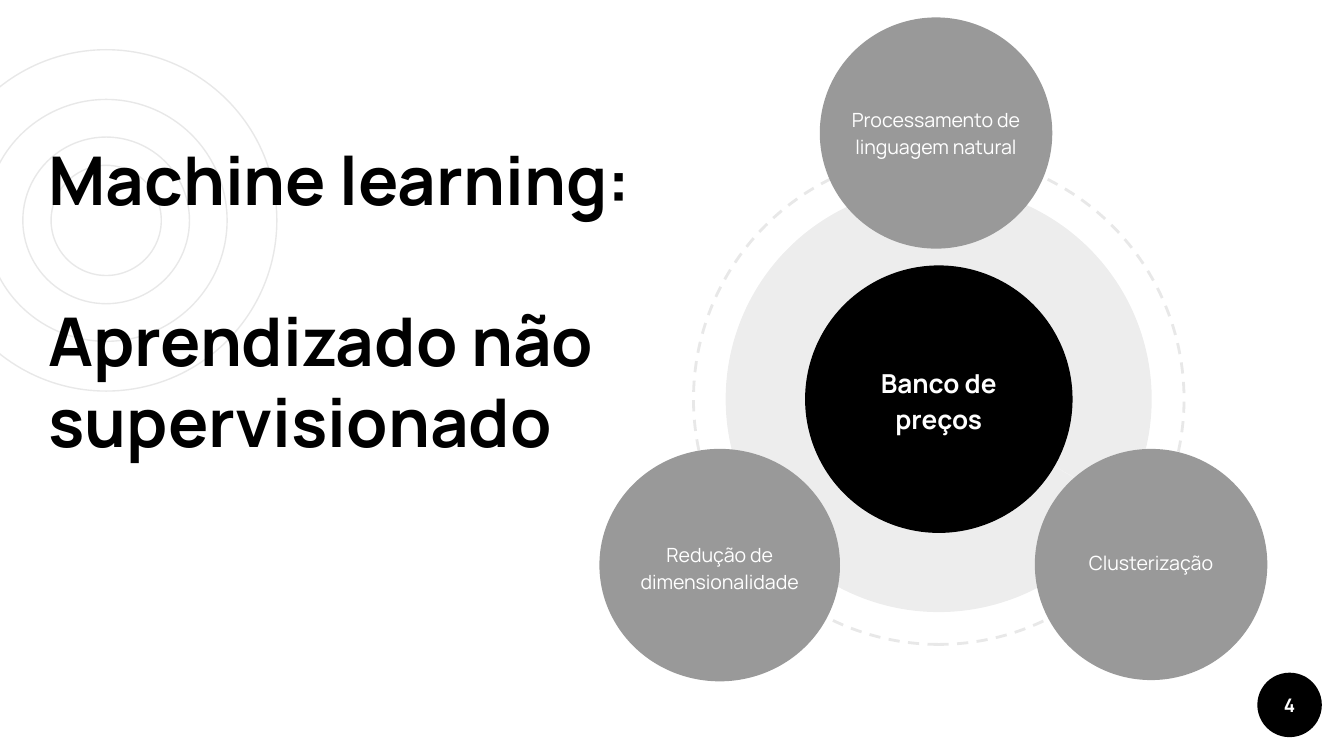
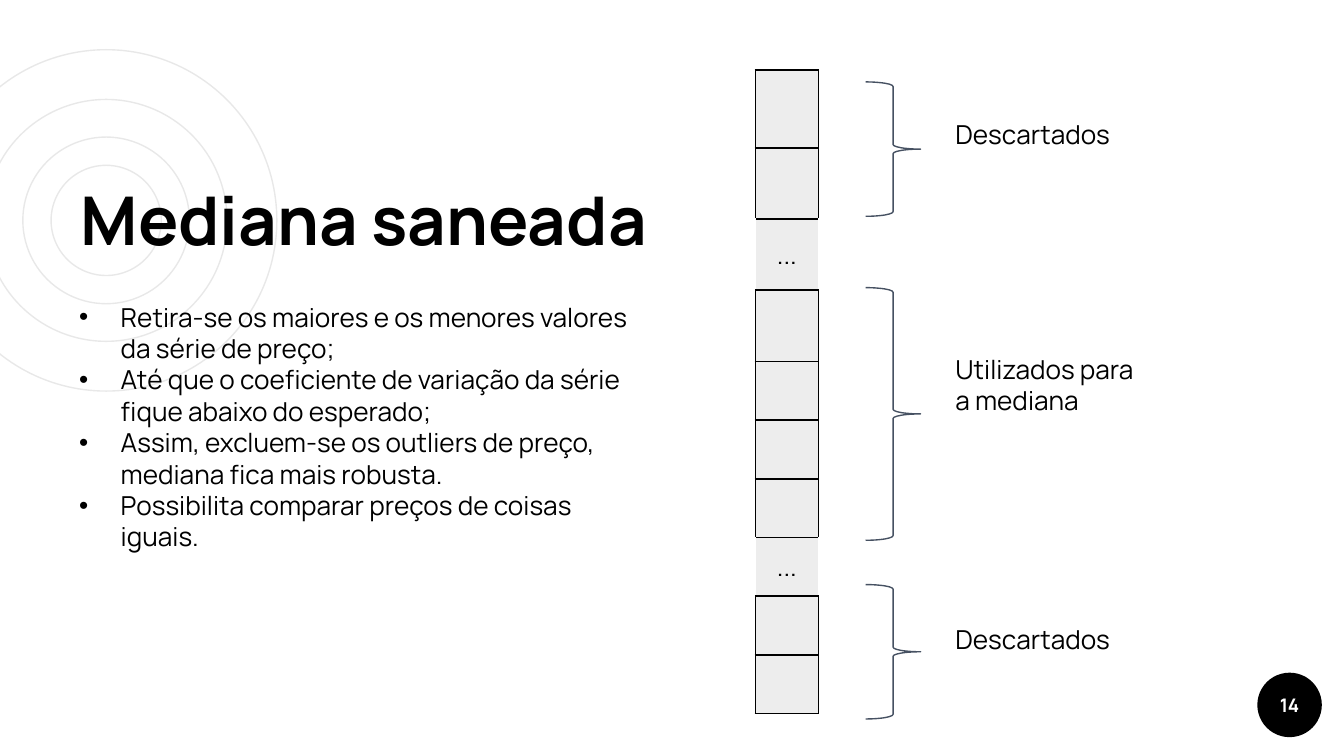
from lxml import etree
from pptx import Presentation, util as u
from pptx.dml.color import RGBColor
from pptx.enum import dml, shapes, text
from pptx.oxml.ns import qn

COLOURS = {"ink": "000000", "paper": "FFFFFF", "ring": "E8E8E8",
           "topic": "999999", "brace": "465162"}
FONT = "Manrope"
CELL = u.Inches(0.1)  # the slide is a grid of 100 columns by 56.25 rows
OVAL = shapes.MSO_SHAPE.OVAL
CENTER = text.PP_ALIGN.CENTER
TOP, MIDDLE, BOTTOM = text.MSO_ANCHOR.TOP, text.MSO_ANCHOR.MIDDLE, text.MSO_ANCHOR.BOTTOM


def draw(slide, kind, box, fill=None, line=None, weight=0.75):
    """Add a shape, or a text box if kind is None; box is in grid cells."""
    place = [int(CELL * n) for n in box]
    if kind is None:
        return slide.shapes.add_textbox(*place)
    shape = slide.shapes.add_shape(kind, *place)
    shape.shadow.inherit = False
    if fill:
        shape.fill.solid()
        shape.fill.fore_color.rgb = RGBColor.from_string(COLOURS[fill])
    else:
        shape.fill.background()
    if line:
        shape.line.color.rgb = RGBColor.from_string(COLOURS[line])
        shape.line.width = u.Pt(weight)
    else:
        shape.line.fill.background()
    return shape


def write(frame, words, size, colour="ink", bold=False, align=text.PP_ALIGN.LEFT,
          anchor=TOP, spacing=1.0, before=0):
    frame.text = words
    frame.word_wrap = True
    frame.auto_size = text.MSO_AUTO_SIZE.NONE
    frame.vertical_anchor = anchor
    frame.margin_left = frame.margin_right = CELL
    frame.margin_top = frame.margin_bottom = CELL
    for paragraph in frame.paragraphs:
        paragraph.alignment = align
        paragraph.line_spacing = spacing
        paragraph.space_before = u.Pt(0)
        for run in paragraph.runs:
            run.font.name, run.font.size, run.font.bold = FONT, u.Pt(size), bold
            run.font.color.rgb = RGBColor.from_string(COLOURS[colour])
        for line_break in paragraph._p.findall(qn("a:br")):
            etree.SubElement(line_break, qn("a:rPr"), sz=str(size * 100))
            etree.SubElement(line_break[0], qn("a:latin"), typeface=FONT)
    frame.paragraphs[0].space_before = u.Pt(before)


prs = Presentation()
prs.slide_width, prs.slide_height = int(CELL * 100), int(CELL * 56.25)

# Shared parts: rings, title and page badge
pages = []
for heading, number, title_box, anchor in (
        ("Machine learning:\v\vAprendizado não supervisionado", "4",
         (2.6, 9.3, 46.8, 31.8), TOP),
        ("Mediana saneada", "14", (5, 12.8, 57.1, 7.5), BOTTOM)):
    slide = prs.slides.add_slide(prs.slide_layouts[5])
    for size in (25.4, 12.4, 18, 8.2):
        draw(slide, OVAL, (7.9 - size / 2, 16.4 - size / 2, size, size), line="ring")
    badge_box = (93.55, 50.05, 4.8, 4.8)
    draw(slide, OVAL, badge_box, "ink")
    title = slide.shapes.title
    title.left, title.top, title.width, title.height = (int(CELL * n) for n in title_box)
    write(title.text_frame, heading, 36, bold=True, anchor=anchor)
    slide.shapes._spTree.append(title._element)  # in front of the rings
    badge = draw(slide, None, badge_box)
    write(badge.text_frame, number, 10, "paper", True, CENTER, MIDDLE)
    pages.append(slide)
learning, median = pages
veils = []  # fills that are 7 % opaque

# Slide 1: concentric hub
hub = []
for kind, size, fill, line in ((OVAL, 36.5, None, "ring"),
                               (shapes.MSO_SHAPE.PIE, 31.7, "ink", None),
                               (OVAL, 19.9, "ink", None)):
    box = (69.85 - size / 2, 29.7 - size / 2, size, size)
    hub.append(draw(learning, kind, box, fill, line, 1.5))
orbit, halo, core = hub
orbit.rotation = 270
orbit.line.dash_style = dml.MSO_LINE.DASH
halo.adjustments[0], halo.adjustments[1] = 18.116, 18.009
veils.append(halo.fill)
core_label = draw(learning, None, (62.5, 25.2, 14.7, 9))
write(core_label.text_frame, "Banco de preços", 14, "paper", True, CENTER, MIDDLE, 1.15)

# Slide 1: topics around the hub
for topic, left, top, width, height, drop in (
        ("Clusterização", 77, 33.4, 17.3, 17.2, 4.6),
        ("Redução de dimensionalidade", 44.6, 33.4, 17.9, 17.3, 5),
        ("Processamento de linguagem natural", 61, 1.3, 17.3, 17.2, 4.7)):
    draw(learning, OVAL, (left, top, width, height), "topic")
    label = draw(learning, shapes.MSO_SHAPE.RECTANGLE,
                 (left + 1, top + drop, width - 2, 7.5), "topic")
    write(label.text_frame, topic, 10.5, "paper", False, CENTER, MIDDLE, 1.15)

# Slide 2: column of prices
heights = [5.8] + [5.3] * 3 + [4.37] * 6
gaps = (2, 7)
prices = median.shapes.add_table(
    len(heights), 1, *(int(CELL * n) for n in (56.2, 5.2, 4.7, sum(heights)))).table
prices.first_row = prices.horz_banding = False
prices.columns[0].width = int(CELL * 4.7)
for row, height in enumerate(heights):
    prices.rows[row].height = int(CELL * height)
    cell = prices.cell(row, 0)
    if row in gaps:
        write(cell.text_frame, "...", 14, align=CENTER)
        cell.vertical_anchor = MIDDLE
        cell.margin_left = cell.margin_right = CELL
        cell.margin_top = cell.margin_bottom = int(CELL * 0.7)
    cell.fill.solid()
    cell.fill.fore_color.rgb = RGBColor.from_string(COLOURS["ink"])
    veils.append(cell.fill)
    for order, side in enumerate(("lnL", "lnR", "lnT", "lnB")):
        open_side = row in gaps and side in ("lnL", "lnR")
        border = etree.Element(qn("a:" + side), w=str(u.Pt(0.75 if open_side else 1)))
        solid = etree.SubElement(border, qn("a:solidFill"))
        etree.SubElement(solid, qn("a:srgbClr"), val=COLOURS["paper" if open_side else "ink"])
        cell._tc.tcPr.insert(order, border)

# Slide 2: braces and what they mean
for meaning, top, height, label_top in (("Descartados", 6.1, 10, 7.8),
                                        ("Descartados", 43.5, 10, 45.4),
                                        ("Utilizados para a mediana", 21.4, 18.8, 25.3)):
    draw(median, shapes.MSO_SHAPE.RIGHT_BRACE, (64.4, top, 4.1, height), line="brace")
    label = draw(median, None, (70.1, label_top, 16.2, 5.6))
    write(label.text_frame, meaning, 14, before=6)

# Slide 2: bullets
reasons = draw(median, None, (4.9, 21.4, 43.5, 28.6)).text_frame
write(reasons, "\n".join((
    "Retira-se os maiores e os menores valores da série de preço;",
    "Até que o coeficiente de variação da série fique abaixo do esperado;",
    "Assim, excluem-se os outliers de preço, mediana fica mais robusta.",
    "Possibilita comparar preços de coisas iguais.")), 14, before=6)
for paragraph in reasons.paragraphs:
    props = paragraph._p.get_or_add_pPr()
    props.set("marL", str(int(CELL * 3.1)))
    props.set("indent", str(int(CELL * -3.1)))
    bullet_colour = etree.SubElement(props, qn("a:buClr"))
    etree.SubElement(bullet_colour, qn("a:srgbClr"), val=COLOURS["ink"])
    etree.SubElement(props, qn("a:buFont"), typeface="Arial")
    etree.SubElement(props, qn("a:buChar"), char="•")

# Transparency
for veil in veils:
    colour = veil._xPr.find(qn("a:solidFill")).find(qn("a:srgbClr"))
    etree.SubElement(colour, qn("a:alpha"), val="7000")

prs.save("out.pptx")
